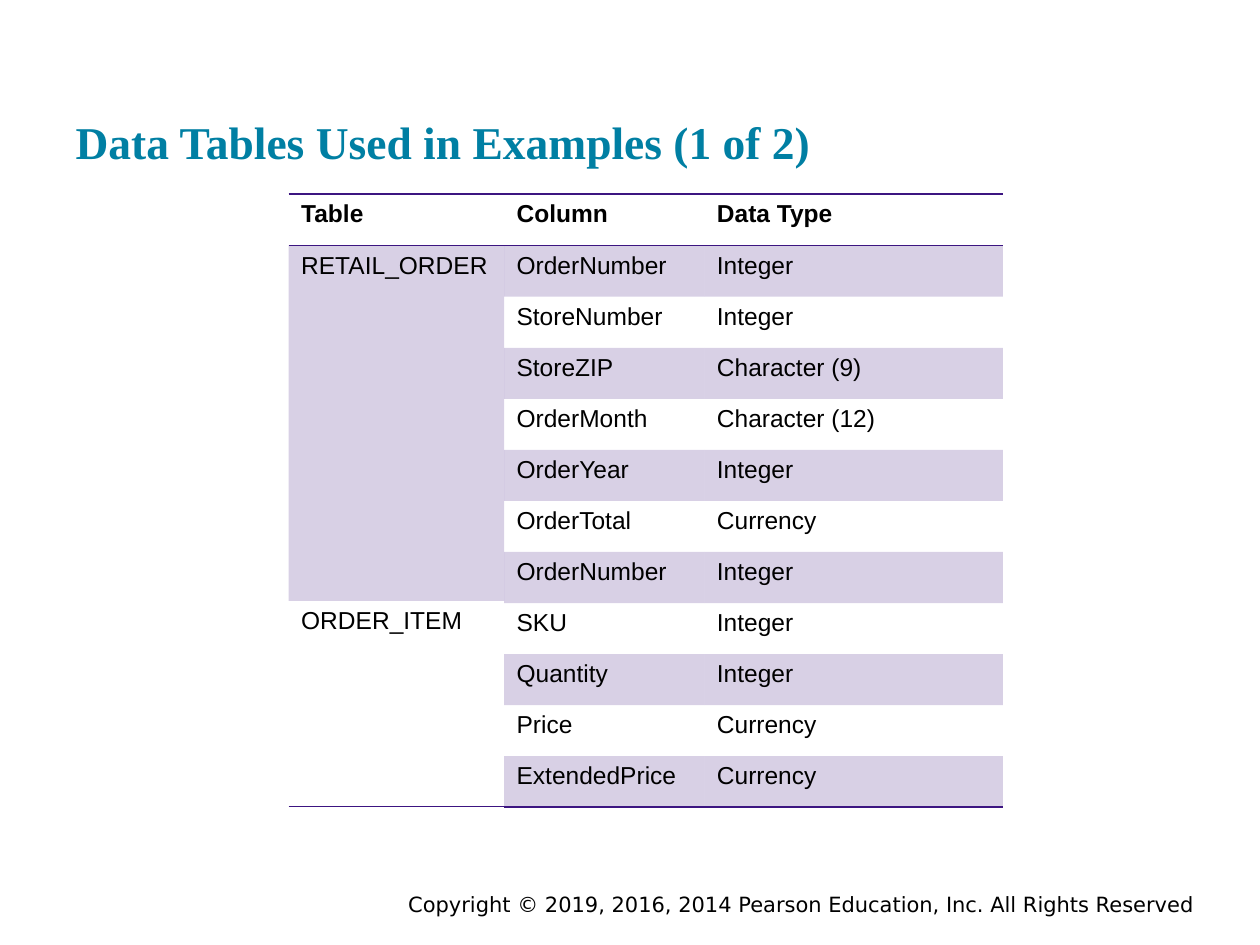
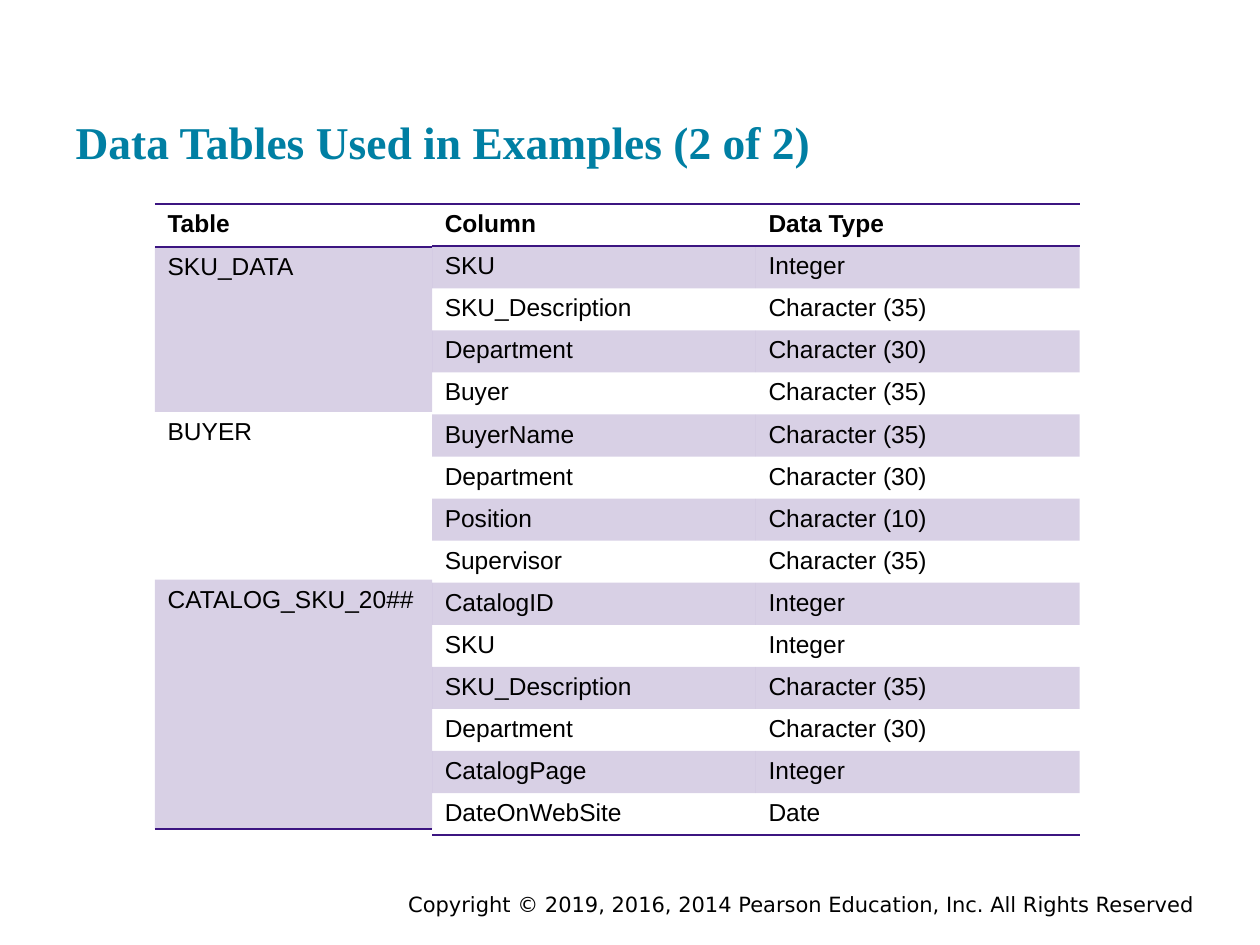
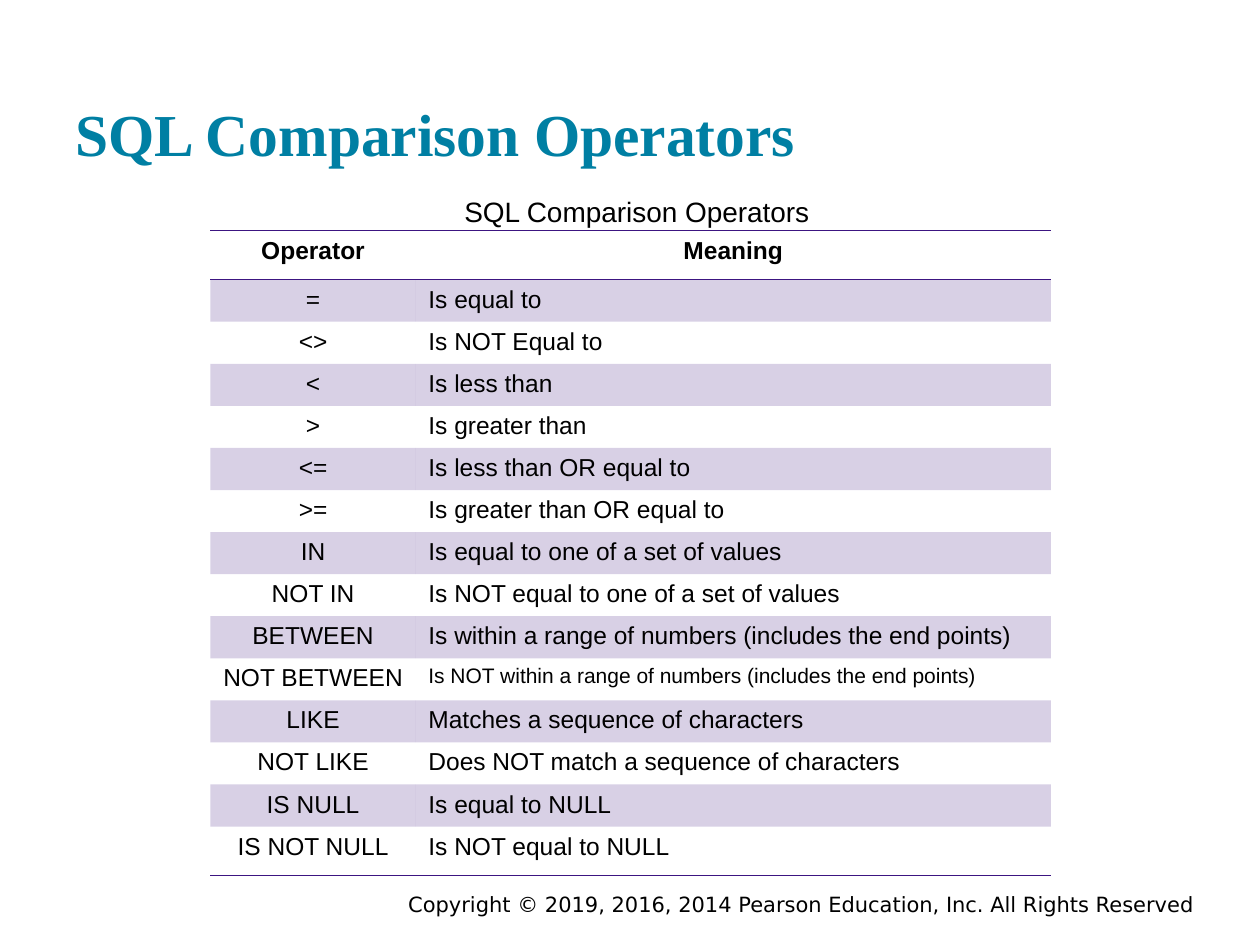
from dataclasses import dataclass

from lxml import etree
from pptx import Presentation
from pptx.dml.color import RGBColor
from pptx.enum import text
from pptx.oxml import ns
from pptx.util import Inches, Pt


@dataclass(frozen=True)
class Theme:
    teal: str = "007FA3"
    ink: str = "000000"
    plum: str = "3C1581"
    tint: int = 20
    serif: str = "Times New Roman"
    sans: str = "Arial"
    foot: str = "DejaVu Sans"
    large: int = 34
    head: int = 26
    label: int = 16
    body: int = 14
    small: int = 12


THEME = Theme()
COPY = "Copyright © 2019, 2016, 2014 Pearson Education, Inc. All Rights Reserved"
CENTER, LEFT, RIGHT = text.PP_ALIGN.CENTER, text.PP_ALIGN.LEFT, text.PP_ALIGN.RIGHT
PLAIN = "{2D5ABB26-0587-4C30-8999-92F81FD0307C}"

ORDERS = [
    ("OrderNumber", "Integer"),
    ("StoreNumber", "Integer"),
    ("StoreZIP", "Character (9)"),
    ("OrderMonth", "Character (12)"),
    ("OrderYear", "Integer"),
    ("OrderTotal", "Currency"),
    ("OrderNumber", "Integer"),
    ("SKU", "Integer"),
    ("Quantity", "Integer"),
    ("Price", "Currency"),
    ("ExtendedPrice", "Currency"),
]
STOCK = [
    ("SKU", "Integer"),
    ("SKU_Description", "Character (35)"),
    ("Department", "Character (30)"),
    ("Buyer", "Character (35)"),
    ("BuyerName", "Character (35)"),
    ("Department", "Character (30)"),
    ("Position", "Character (10)"),
    ("Supervisor", "Character (35)"),
    ("CatalogID", "Integer"),
    ("SKU", "Integer"),
    ("SKU_Description", "Character (35)"),
    ("Department", "Character (30)"),
    ("CatalogPage", "Integer"),
    ("DateOnWebSite", "Date"),
]
TESTS = [
    ("=", "Is equal to"),
    ("<>", "Is NOT Equal to"),
    ("<", "Is less than"),
    (">", "Is greater than"),
    ("<=", "Is less than OR equal to"),
    (">=", "Is greater than OR equal to"),
    ("IN", "Is equal to one of a set of values"),
    ("NOT IN", "Is NOT equal to one of a set of values"),
    ("BETWEEN", "Is within a range of numbers (includes the end points)"),
    ("NOT BETWEEN", "Is NOT within a range of numbers (includes the end points)"),
    ("LIKE", "Matches a sequence of characters"),
    ("NOT LIKE", "Does NOT match a sequence of characters"),
    ("IS NULL", "Is equal to NULL"),
    ("IS NOT NULL", "Is NOT equal to NULL"),
]


def write(frame, words, face, size, color=THEME.ink, bold=False, align=LEFT):
    frame.text = words
    para = frame.paragraphs[0]
    para.alignment = align
    font = para.font
    font.name, font.size, font.bold = face, Pt(size), bold
    font.color.rgb = RGBColor.from_string(color)


def pad(frame, side, top):
    frame.margin_left = frame.margin_right = Inches(side)
    frame.margin_top = frame.margin_bottom = Inches(top)


def place(shape, *box):
    shape.left, shape.top, shape.width, shape.height = map(Inches, box)


def add_text(slide, box, words, face, size, align, top):
    frame = slide.shapes.add_textbox(*map(Inches, box)).text_frame
    frame.word_wrap = True
    pad(frame, 0.1, top)
    write(frame, words, face, size, align=align)


def add_slide(deck, title, size=THEME.head):
    slide = deck.slides.add_slide(deck.slide_layouts[5])
    place(slide.shapes.title, 0.5, 0.24, 9, 1.2)
    frame = slide.shapes.title.text_frame
    frame.auto_size = text.MSO_AUTO_SIZE.NONE
    frame.vertical_anchor = text.MSO_ANCHOR.BOTTOM
    pad(frame, 0.1, 0.1)
    write(frame, title, THEME.serif, size, THEME.teal, True)
    add_text(slide, (1.75, 7.03, 7.83, 0.22), COPY, THEME.foot, THEME.small, RIGHT, 0.05)
    return slide


def shade(cell):
    cell.fill.solid()
    cell.fill.fore_color.rgb = RGBColor.from_string(THEME.plum)
    color = cell.fill._xPr.find(".//" + ns.qn("a:srgbClr"))
    etree.SubElement(color, ns.qn("a:alpha"), val=str(THEME.tint * 1000))


def rule(cell, sides):
    """Draw a line on each named side, T before B."""
    props = cell._tc.get_or_add_tcPr()
    for spot, side in enumerate(sides):
        line = etree.Element(ns.qn("a:ln" + side), w=str(Pt(1)))
        fill = etree.SubElement(line, ns.qn("a:solidFill"))
        etree.SubElement(fill, ns.qn("a:srgbClr"), val=THEME.plum)
        props.insert(spot, line)


def add_grid(slide, left, top, cols, highs, rows, aligns=(LEFT, LEFT), sizes=None):
    """Add a ruled, banded table; sizes maps (row, column) to a type size."""
    frame = slide.shapes.add_table(
        len(rows), len(cols), Inches(left), Inches(top), Inches(sum(cols)), Inches(sum(highs))
    )
    frame.element.xpath(".//a:tableStyleId")[0].text = PLAIN
    grid = frame.table
    grid.horz_banding = False
    for col, wide in zip(grid.columns, cols):
        col.width = Inches(wide)
    for r, (row, high) in enumerate(zip(rows, highs)):
        grid.rows[r].height = Inches(high)
        for c, words in enumerate(row):
            cell = grid.cell(r, c)
            size = (sizes or {}).get((r, c), THEME.body)
            align = CENTER if r == 0 and CENTER in aligns else aligns[c]
            write(cell.text_frame, words, THEME.sans, size, bold=r == 0, align=align)
            if r % 2:
                shade(cell)
            else:
                cell.fill.background()
            if r == 0:
                rule(cell, "TB")
            elif r == len(rows) - 1:
                rule(cell, "B")


def add_pair(slide, left, top, names, highs, cols, head, depth, fields):
    """Set table names beside their fields, whose rows share depth equally."""
    add_grid(slide, left, top, cols[:1], highs, [("Table",)] + [(n,) for n in names])
    steps = [head] + [depth / len(fields)] * len(fields)
    add_grid(slide, left + cols[0], top, cols[1:], steps, [("Column", "Data Type")] + fields)


def main():
    deck = Presentation()
    deck.slide_width, deck.slide_height = Inches(10), Inches(7.5)

    slide = add_slide(deck, "Data Tables Used in Examples (1 of 2)")
    add_pair(slide, 2.29, 1.54, ("RETAIL_ORDER", "ORDER_ITEM"), (0.41, 2.82, 1.63),
             (1.71, 1.59, 2.37), 0.41, 4.46, ORDERS)

    slide = add_slide(deck, "Data Tables Used in Examples (2 of 2)")
    add_pair(slide, 1.23, 1.62, ("SKU_DATA", "BUYER", "CATALOG_SKU_20##"),
             (0.34, 1.31, 1.33, 1.98), (2.2, 2.57, 2.57), 0.33, 4.47, STOCK)

    name = "SQL Comparison Operators"
    slide = add_slide(deck, name, THEME.large)
    add_text(slide, (0.61, 1.44, 8.89, 0.45), name, THEME.sans, THEME.label, CENTER, 0.1)
    highs = [0.39] + [0.32] * (len(TESTS) - 1) + [0.39]
    add_grid(slide, 1.67, 1.83, (1.63, 5.04), highs, [("Operator", "Meaning")] + TESTS,
             (CENTER, LEFT), {(10, 1): THEME.small})

    deck.save("out.pptx")


if __name__ == "__main__":
    main()
